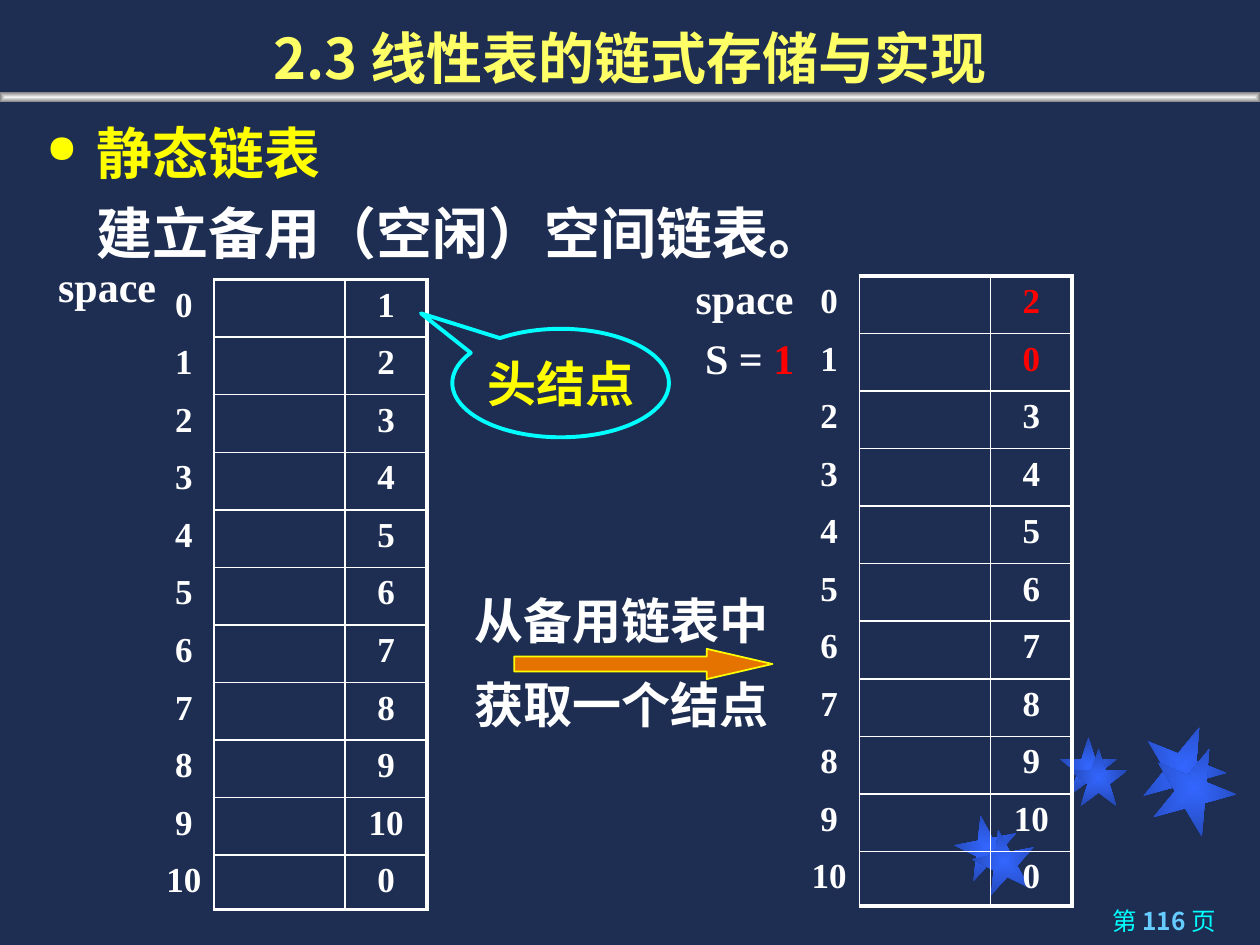
"""Build the slide on taking a node from the spare list of a static linked list."""
import pptx
import pptx.dml.color
import pptx.enum.shapes
import pptx.enum.text
import pptx.oxml.ns
import pptx.util
from lxml import etree

Pt = pptx.util.Pt
qn = pptx.oxml.ns.qn
Kind = pptx.enum.shapes.MSO_SHAPE
Align = pptx.enum.text.PP_ALIGN
Anchor = pptx.enum.text.MSO_ANCHOR
HEX = {
    "navy": "1E2E53", "white": "FFFFFF", "red": "FF0000", "yellow": "FFFF00",
    "title": "FFFF66", "cyan": "00FFFF", "sky": "66CCFF", "orange": "E57300",
    "blue": "3366FF", "deep": "2449B6", "light": "F2F2F2", "gray": "808080",
}
RGB = {name: pptx.dml.color.RGBColor.from_string(code) for name, code in HEX.items()}
SANS = "Noto Sans CJK SC"
SERIF = "Times New Roman"


def write(par, text, size, color="white", face=SERIF, bold=True):
    run = par.add_run()
    run.text = text
    run.font.size = Pt(size)
    run.font.bold = bold
    run.font.name = face
    run.font.color.rgb = RGB[color]
    etree.SubElement(run.font._element, qn("a:ea"), typeface=SANS)


def label(left, top, width, height, align=Align.CENTER, wrap=True):
    frame = slide.shapes.add_textbox(Pt(left), Pt(top), Pt(width), Pt(height)).text_frame
    frame.word_wrap = wrap
    frame.paragraphs[0].alignment = align
    return frame


deck = pptx.Presentation()
deck.slide_width, deck.slide_height = Pt(720), Pt(540)
slide = deck.slides.add_slide(deck.slide_layouts[5])
slide.background.fill.solid()
slide.background.fill.fore_color.rgb = RGB["navy"]

decor = [
    (Kind.STAR_5_POINT, 545.8, 465.8, 36, 36, 349, "blue", "deep"),
    (Kind.STAR_5_POINT, 605.5, 421.2, 33, 33, 0, "blue", "deep"),
    (Kind.STAR_5_POINT, 652.3, 414, 48, 48, 22, "blue", "deep"),
    (Kind.STAR_5_POINT, 555.8, 473.8, 36, 36, 349, "blue", "deep"),
    (Kind.STAR_5_POINT, 611.3, 427.7, 33, 33, 0, "blue", "deep"),
    (Kind.STAR_5_POINT, 658, 426.2, 48, 48, 22, "blue", "deep"),
    (Kind.RECTANGLE, 0, 52.6, 720, 5.8, 0, "light", "gray"),
]
for kind, left, top, width, height, turn, inner, outer in decor:
    item = slide.shapes.add_shape(kind, Pt(left), Pt(top), Pt(width), Pt(height))
    item.rotation = turn
    item.shadow.inherit = False
    item.line.fill.background()
    item.fill.gradient()
    for stop, color in zip(item.fill.gradient_stops, (inner, outer)):
        stop.color.rgb = RGB[color]
    grad = item._element.spPr.find(qn("a:gradFill"))
    grad.remove(grad.find(qn("a:lin")))
    shade = etree.SubElement(grad, qn("a:path"), path="shape")
    etree.SubElement(shade, qn("a:fillToRect"), l="50000", t="50000", r="50000", b="50000")

page = label(512.6, 514, 189.4, 26, Align.RIGHT).paragraphs[0]
write(page, "第 ", 14, "cyan", SANS, False)
write(page, "116 ", 14, "sky", SANS)
write(page, "页", 14, "cyan", SANS, False)

title = slide.shapes.title
title.left, title.top, title.width, title.height = Pt(0), Pt(1.4), Pt(720), Pt(54)
title.text_frame.auto_size = pptx.enum.text.MSO_AUTO_SIZE.NONE
title.text_frame.vertical_anchor = Anchor.BOTTOM
head = title.text_frame.paragraphs[0]
head.alignment = Align.CENTER
write(head, "2.3 线性表的链式存储与实现", 32, "title", SANS)

body = label(19.4, 56.2, 684, 101.5, Align.LEFT)
topic, detail = body.paragraphs[0], body.add_paragraph()
for par, indent in ((topic, -28.8), (detail, 0)):
    props = par._p.get_or_add_pPr()
    props.set("marL", str(Pt(28.8)))
    props.set("indent", str(Pt(indent)))
    par.line_spacing = 1.2
props = topic._p.get_or_add_pPr()
etree.SubElement(props, qn("a:buSzPct"), val="70000")
etree.SubElement(props, qn("a:buChar"), char="●")
write(topic, "静态链表", 32, "yellow", "Arial")
write(detail, "建立备用（空闲）空间链表。", 32, "white", "Arial")

spare = [*range(1, 11), 0]
taken = [2, 0, *spare[2:]]
last = len(spare) - 1
for left, top, links in ((87.8, 159.8, spare), (456.5, 157.7, taken)):
    frame = slide.shapes.add_table(len(links), 3, Pt(left), Pt(top), Pt(156.2), Pt(360))
    grid = frame.table
    grid.first_row = grid.horz_banding = False
    grid._tbl.tblPr.find(qn("a:tableStyleId")).text = "{2D5ABB26-0587-4C30-8999-92F81FD0307C}"
    for column, width in zip(grid.columns, (34.6, 74.9, 46.7)):
        column.width = Pt(width)
    for row, link in enumerate(links):
        grid.rows[row].height = Pt(31 if row == last else 32.9)
        for col, value in enumerate((row, None, link)):
            cell = grid.cell(row, col)
            edges = {
                "lnL": 1,
                "lnR": 2.25 if col == 2 else 1,
                "lnT": 2.25 if row == 0 else 1,
                "lnB": 2.25 if row == last else 1,
            }
            for side, width in edges.items():
                if col or side == "lnR":
                    edge = etree.SubElement(cell._tc.get_or_add_tcPr(), qn(f"a:{side}"), w=str(Pt(width)))
                    fill = etree.SubElement(edge, qn("a:solidFill"))
                    etree.SubElement(fill, qn("a:srgbClr"), val=HEX["white"])
            cell.fill.background()
            if value is not None:
                par = cell.text_frame.paragraphs[0]
                par.alignment = Align.CENTER
                changed = col == 2 and link != spare[row]
                write(par, str(value), 20, "red" if changed else "white")

for left, top in ((25.9, 145.4), (390.2, 151.9)):
    write(label(left, top, 70.6, 36, wrap=False).paragraphs[0], "space", 24)

state = label(388.1, 186.5, 80.6, 36).paragraphs[0]
write(state, "S = ", 24)
write(state, "1", 24, "red")

step = label(255.6, 334.1, 199.4, 92.2)
write(step.paragraphs[0], "从备用链表中", 28)
after = step.add_paragraph()
after.alignment = Align.CENTER
after.space_before = Pt(14)
write(after, "获取一个结点", 28)

arrow = slide.shapes.add_shape(Kind.RIGHT_ARROW, Pt(293.8), Pt(370.8), Pt(147.6), Pt(17.3))
arrow.adjustments[0], arrow.adjustments[1] = 0.5, 2.17
arrow.shadow.inherit = False
arrow.fill.solid()
arrow.fill.fore_color.rgb = RGB["orange"]
arrow.line.color.rgb = RGB["yellow"]
arrow.line.width = Pt(1)

note = slide.shapes.add_shape(Kind.OVAL_CALLOUT, Pt(258.5), Pt(187.9), Pt(123.8), Pt(62))
note.adjustments[0], note.adjustments[1] = -0.645, -0.643
note.shadow.inherit = False
note.fill.background()
note.line.color.rgb = RGB["cyan"]
note.line.width = Pt(2.25)
frame = note.text_frame
frame.margin_left = frame.margin_right = frame.margin_top = frame.margin_bottom = Pt(0)
frame.vertical_anchor = Anchor.MIDDLE
frame.paragraphs[0].alignment = Align.CENTER
write(frame.paragraphs[0], "头结点", 28, "yellow", SANS)

deck.save("out.pptx")
